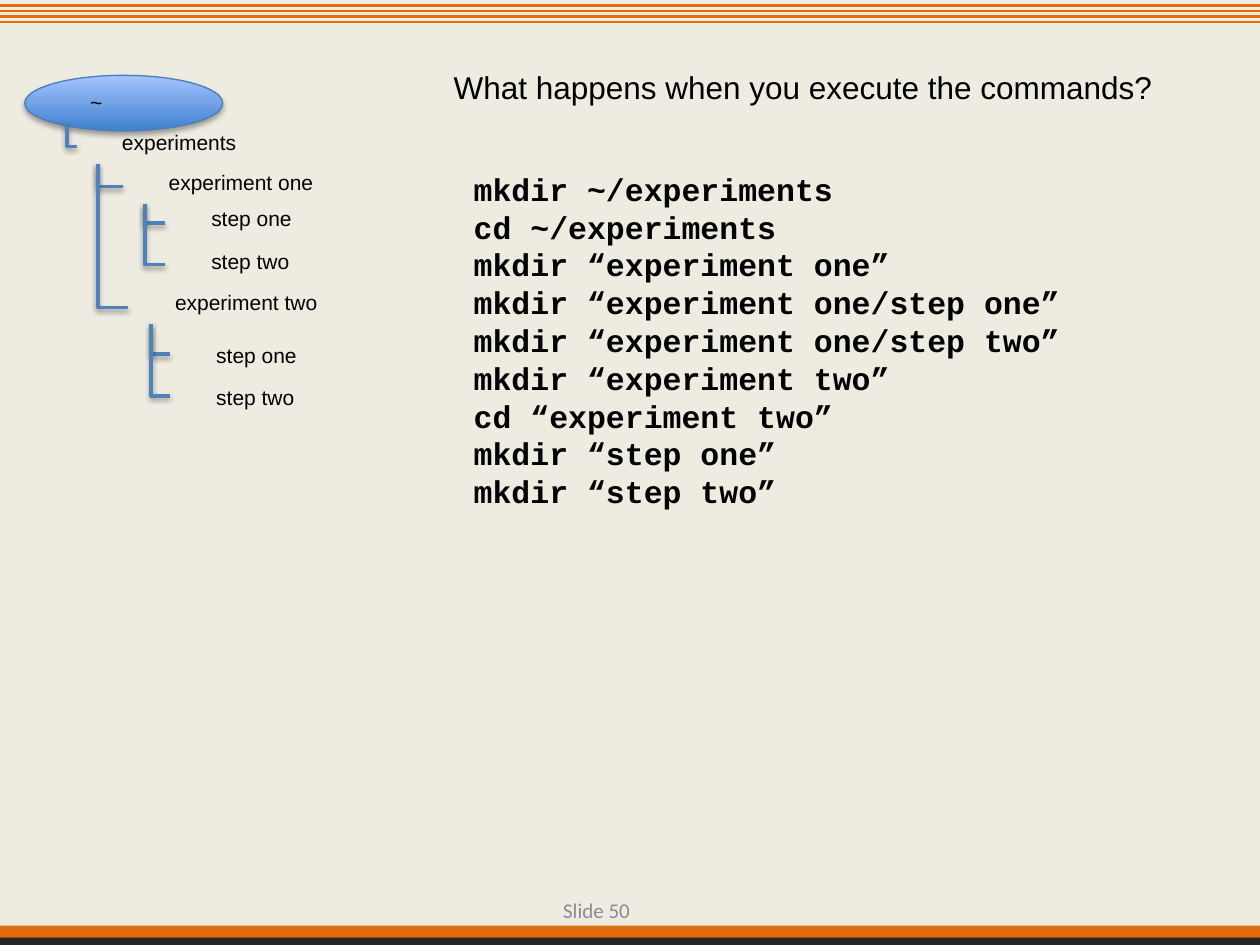
from dataclasses import dataclass

from lxml import etree
from pptx import Presentation
from pptx.dml.color import RGBColor
from pptx.enum.shapes import MSO_CONNECTOR, MSO_SHAPE
from pptx.enum.text import MSO_ANCHOR, MSO_AUTO_SIZE, PP_ALIGN
from pptx.oxml.ns import qn
from pptx.util import Cm, Pt

STRAIGHT, ELBOW = MSO_CONNECTOR.STRAIGHT, MSO_CONNECTOR.ELBOW
RECTANGLE, OVAL = MSO_SHAPE.RECTANGLE, MSO_SHAPE.OVAL
TOP, BOTTOM = MSO_ANCHOR.TOP, MSO_ANCHOR.BOTTOM
LEFT, RIGHT = PP_ALIGN.LEFT, PP_ALIGN.RIGHT
NO_RESIZE = MSO_AUTO_SIZE.NONE
TITLE_ONLY = 5
WIDTH, HEIGHT = 25.4, 19.05


def rgb(code):
    return RGBColor.from_string(code)


@dataclass(frozen=True)
class Theme:
    background = rgb("EEECE1")
    accent = rgb("E46C0A")
    dark = rgb("262626")
    branch = rgb("4F81BD")
    root_line = rgb("4B7EBC")
    root_fill = (rgb("3F80CE"), rgb("A4C4FF"))
    title = {"name": "Arial", "size": Pt(18), "bold": False, "color": rgb("000000")}
    code = {"name": "Courier New", "size": Pt(18), "bold": True, "color": rgb("000000")}
    label = {"name": "Arial", "size": Pt(12), "color": rgb("000000")}
    number = {"name": "Calibri", "size": Pt(12), "color": rgb("8C8C8C")}


class SlideBuilder:
    def __init__(self, slide, theme):
        self.slide = slide
        self.theme = theme
        slide.background.fill.solid()
        slide.background.fill.fore_color.rgb = theme.background

    def effects(self, shape, opacity=0, distance=0):
        """Give a shape a soft shadow below it, or none at zero opacity."""
        effect_list = etree.SubElement(shape._element.spPr, qn("a:effectLst"))
        if opacity:
            shadow = etree.SubElement(
                effect_list, qn("a:outerShdw"), blurRad="40000",
                dist=str(Pt(distance)), dir="5400000", rotWithShape="0")
            color = etree.SubElement(shadow, qn("a:srgbClr"), val="000000")
            etree.SubElement(color, qn("a:alpha"), val=str(opacity * 1000))

    def fill_text(self, shape, lines, style, wrap=True, align=LEFT, anchor=TOP, spacing=None):
        frame = shape.text_frame
        frame.word_wrap = wrap
        frame.auto_size = NO_RESIZE
        frame.vertical_anchor = anchor
        frame.text = "\n".join(lines)
        for paragraph in frame.paragraphs:
            paragraph.alignment = align
            paragraph.line_spacing = spacing
            for key, value in style.items():
                if key == "color":
                    paragraph.font.color.rgb = value
                else:
                    setattr(paragraph.font, key, value)
        return frame

    def title(self, text, left, top, width, height):
        title = self.slide.shapes.title
        place = {"left": left, "top": top, "width": width, "height": height}
        for key, value in place.items():
            setattr(title, key, Cm(value))
        self.fill_text(title, [text], self.theme.title)

    def text(self, lines, left, top, width, height, style, **layout):
        box = self.slide.shapes.add_textbox(Cm(left), Cm(top), Cm(width), Cm(height))
        return self.fill_text(box, lines, style, **layout)

    def bar(self, top, height, color, shadow=(0, 0)):
        bar = self.slide.shapes.add_shape(RECTANGLE, 0, Cm(top), Cm(WIDTH), Cm(height))
        bar.fill.solid()
        bar.fill.fore_color.rgb = color
        bar.line.fill.background()
        self.effects(bar, *shadow)

    def stripe(self, y):
        stripe = self.slide.shapes.add_connector(STRAIGHT, 0, Cm(y), Cm(WIDTH), Cm(y))
        stripe.line.color.rgb = self.theme.accent
        stripe.line.width = Pt(1.5)
        self.effects(stripe)

    def root(self, left, top, width, height):
        oval = self.slide.shapes.add_shape(OVAL, Cm(left), Cm(top), Cm(width), Cm(height))
        oval.fill.gradient()
        oval.fill.gradient_angle = 90
        for stop, color in zip(oval.fill.gradient_stops, self.theme.root_fill):
            stop.color.rgb = color
        oval.line.color.rgb = self.theme.root_line
        oval.line.width = Pt(0.75)
        self.effects(oval, 35, 1.8)

    def branch(self, x, y, end_x, end_y):
        """Go down from the start and then right: a turned and flipped elbow."""
        across, down = end_x - x, end_y - y
        left, top = (x + end_x - down) / 2, (y + end_y - across) / 2
        elbow = self.slide.shapes.add_connector(
            ELBOW, Cm(left + down), Cm(top), Cm(left), Cm(top + across))
        elbow._element.spPr.find(qn("a:prstGeom")).set("prst", "bentConnector2")
        elbow.rotation = 270
        elbow.line.color.rgb = self.theme.branch
        elbow.line.width = Pt(2)
        self.effects(elbow, 38, 1.6)


COMMANDS = [
    "mkdir ~/experiments",
    "cd ~/experiments",
    "mkdir “experiment one”",
    "mkdir “experiment one/step one”",
    "mkdir “experiment one/step two”",
    "mkdir “experiment two”",
    "cd “experiment two”",
    "mkdir “step one”",
    "mkdir “step two”",
]

# Trunk start (x, y), then its folders: name, label left, top, width, branch end x, y
FOLDER_TREE = [
    ((1.35, 2.49), [("experiments", 2.21, 2.49, 2.84, 1.55, 2.95)]),
    ((1.98, 3.30), [("experiment one", 3.15, 3.30, 3.45, 2.49, 3.76),
                    ("experiment two", 3.28, 5.72, 3.40, 2.59, 6.20)]),
    ((2.92, 4.11), [("step one", 4.01, 4.01, 2.16, 3.33, 4.50),
                    ("step two", 4.01, 4.88, 2.11, 3.33, 5.33)]),
    ((3.05, 6.53), [("step one", 4.11, 6.78, 2.16, 3.43, 7.14),
                    ("step two", 4.11, 7.62, 2.11, 3.43, 7.98)]),
]


def main():
    presentation = Presentation()
    presentation.slide_width, presentation.slide_height = Cm(WIDTH), Cm(HEIGHT)
    slide = presentation.slides.add_slide(presentation.slide_layouts[TITLE_ONLY])
    theme = Theme()
    builder = SlideBuilder(slide, theme)

    # Bands at the bottom and stripes at the top
    builder.bar(18.66, 0.39, theme.accent)
    for index in range(4):
        builder.stripe(0.11 * (index + 1))
    builder.bar(18.9, 0.15, theme.dark, shadow=(35, 1.8))

    # Question and commands
    builder.title("What happens when you execute the commands?", 8.89, 1.25, 14.81, 1.02)
    builder.text(COMMANDS, 9.3, 3.3, 14.81, 7.19, theme.code, spacing=Pt(21.6))

    # Folder tree
    builder.root(0.5, 1.52, 3.99, 1.12)
    builder.text(["~"], 1.57, 1.68, 0.76, 0.77, theme.label, wrap=False)
    for trunk, folders in FOLDER_TREE:
        for name, left, top, width, end_x, end_y in folders:
            builder.text([name], left, top, width, 0.77, theme.label, wrap=False)
            builder.branch(*trunk, end_x, end_y)

    # Slide number
    number = builder.text(["Slide 50"], 10.44, 17.58, 2.51, 1.02, theme.number,
                          align=RIGHT, anchor=BOTTOM)
    number.margin_top = number.margin_bottom = 0

    presentation.save("out.pptx")


if __name__ == "__main__":
    main()
